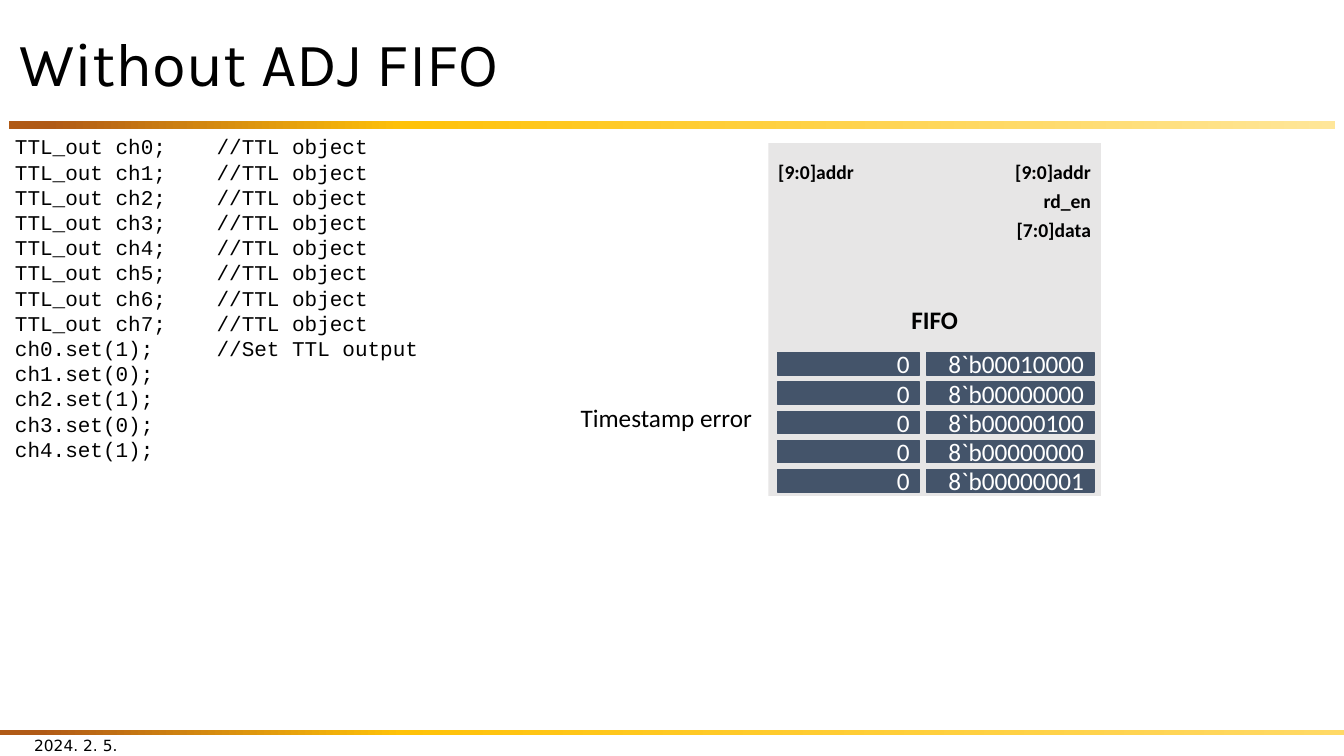
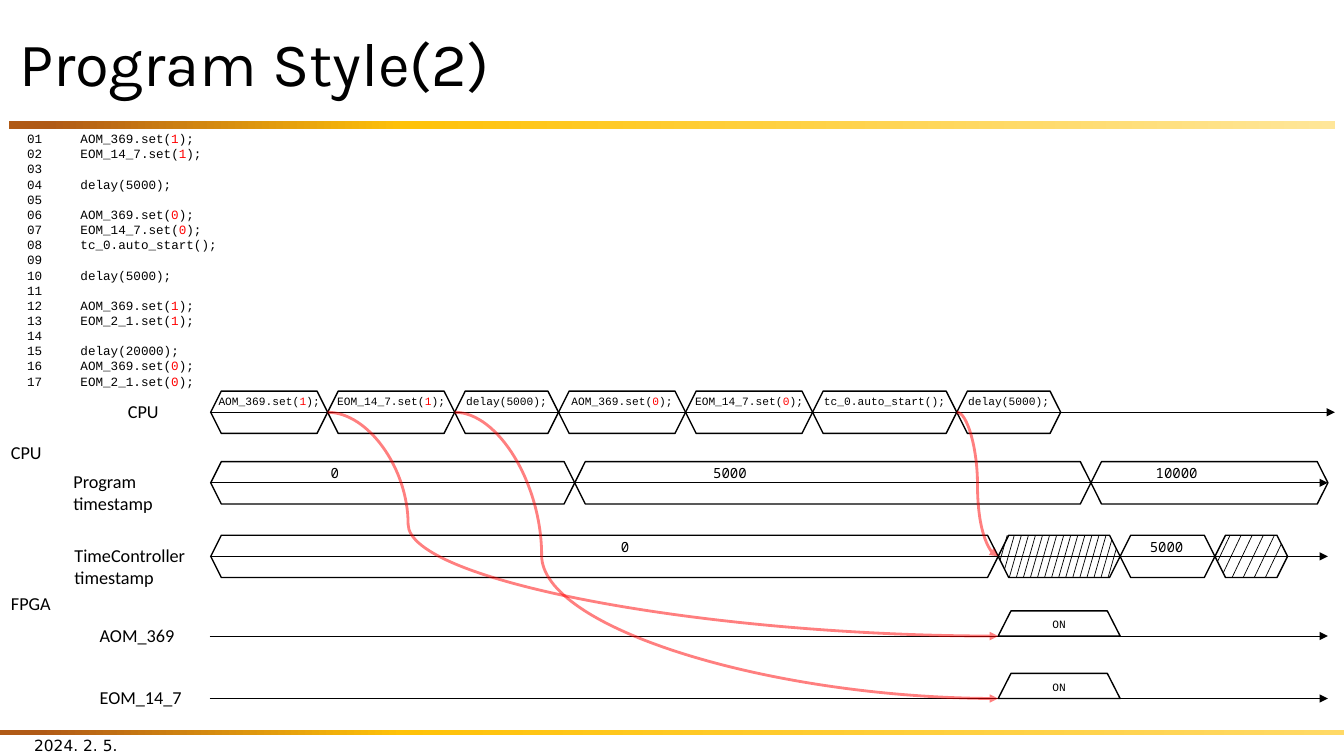
from pptx import Presentation
from pptx.dml.color import RGBColor
from pptx.enum.shapes import MSO_CONNECTOR, MSO_SHAPE
from pptx.enum.text import MSO_ANCHOR, MSO_AUTO_SIZE, PP_ALIGN
from pptx.oxml import parse_xml
from pptx.oxml.ns import nsdecls, qn
from pptx.util import Inches, Pt
from lxml import etree

RECT, HEXAGON, TRAPEZOID = MSO_SHAPE.RECTANGLE, MSO_SHAPE.HEXAGON, MSO_SHAPE.TRAPEZOID
STRAIGHT, CURVE = MSO_CONNECTOR.STRAIGHT, MSO_CONNECTOR.CURVE
LEFT, CENTER, RIGHT = PP_ALIGN.LEFT, PP_ALIGN.CENTER, PP_ALIGN.RIGHT
TOP, MIDDLE = MSO_ANCHOR.TOP, MSO_ANCHOR.MIDDLE
FIT = MSO_AUTO_SIZE.SHAPE_TO_FIT_TEXT

COLORS = {
    "ink": "000000", "white": "FFFFFF", "red": "FF0000", "panel": "E7E6E6",
    "cell": "44546A", "rust": "B05A16", "amber": "FFC208",
    "cream": "FFE699", "gold": "FFD966",
}
TITLE_FONT, BODY_FONT, CODE_FONT = "Karla", "Calibri", "Courier New"
DATE_FONT, VALUE_FONT = "DejaVu Sans", "Noto Sans Mono"

TTL_CODE = [f"TTL_out ch{i};\t//TTL object" for i in range(8)] + [
    "ch0.set(1);\t//Set TTL output", "ch1.set(0);", "ch2.set(1);",
    "ch3.set(0);", "ch4.set(1);"]
FIFO_DATA = ["8`b00010000", "8`b00000000", "8`b00000100", "8`b00000000", "8`b00000001"]
PROGRAM = [
    "AOM_369.set(|1|);", "EOM_14_7.set(|1|);", "", "delay(5000);", "",
    "AOM_369.set(|0|);", "EOM_14_7.set(|0|);", "tc_0.auto_start();", "",
    "delay(5000);", "", "AOM_369.set(|1|);", "EOM_2_1.set(|1|);", "",
    "delay(20000);", "AOM_369.set(|0|);", "EOM_2_1.set(|0|);"]
CPU_Y, PROGRAM_Y, CONTROLLER_Y, AOM_Y, EOM_Y = 4.09, 4.79, 5.52, 6.31, 6.93
AXIS_X, AXIS_END = 2.08, 13.17
CPU_EDGES = [2.09, 3.25, 4.51, 5.54, 6.8, 8.06, 9.49, 10.52]
PROGRAM_EDGES = [2.09, 5.7, 10.82, 13.17]
CONTROLLER_EDGES = [2.09, 9.9, 11.11, 12.05, 12.77]
BAND_H, BAND_SLANT = 0.42, 0.105
CALL_W, VALUE_W = 1.5, 0.7


def rgb(name):
    """Return the named colour."""
    return RGBColor.from_string(COLORS[name])


def put_text(sp, lines, font, size, color="ink", bold=False, align=LEFT, anchor=TOP,
             wrap=True, tab=None):
    """Fill a shape with lines, where text between bars is red."""
    tf = sp.text_frame
    tf.word_wrap = wrap
    tf.vertical_anchor = anchor
    for i, line in enumerate(lines):
        p = tf.add_paragraph() if i else tf.paragraphs[0]
        p.alignment = align
        if tab:
            tabs = etree.SubElement(p._p.get_or_add_pPr(), qn("a:tabLst"))
            etree.SubElement(tabs, qn("a:tab"), pos=str(Inches(tab)), algn="l")
        for j, part in enumerate(line.split("|")):
            r = p.add_run()
            r.text = part
            r.font.name, r.font.size, r.font.bold = font, Pt(size), bold
            r.font.color.rgb = rgb("red" if j % 2 else color)


def add_text(slide, box, lines, font, size, grow=False, **style):
    """Add a text box."""
    sp = slide.shapes.add_textbox(*map(Inches, box))
    put_text(sp, lines, font, size, **style)
    if grow:
        sp.text_frame.auto_size = FIT
    return sp


def add_box(slide, kind, box, fill=None, line=None):
    """Add a preset shape without shadow."""
    sp = slide.shapes.add_shape(kind, *map(Inches, box))
    sp.shadow.inherit = False
    if fill:
        sp.fill.solid()
        sp.fill.fore_color.rgb = rgb(fill)
    else:
        sp.fill.background()
    if line:
        sp.line.color.rgb = rgb(line)
        sp.line.width = Pt(1)
    else:
        sp.line.fill.background()
    return sp


def add_line(slide, start, end, color="ink", width=0.5, kind=STRAIGHT, arrow=False):
    """Add a connector, with an arrowhead at its end if asked."""
    cx = slide.shapes.add_connector(kind, *map(Inches, (*start, *end)))
    cx.line.color.rgb = rgb(color)
    cx.line.width = Pt(width)
    if arrow:
        etree.SubElement(cx.line._get_or_add_ln(), qn("a:tailEnd"), type="triangle")
    etree.SubElement(cx._element.spPr, qn("a:effectLst"))
    return cx


def add_gradient_band(slide, box, last):
    """Add a band running from rust through amber to the last colour."""
    sp = add_box(slide, RECT, box)
    stops = "".join(
        f'<a:gs pos="{pos * 1000}"><a:srgbClr val="{COLORS[name]}"/></a:gs>'
        for pos, name in ((3, "rust"), (30, "amber"), (100, last)))
    grad = parse_xml(f'<a:gradFill {nsdecls("a")} rotWithShape="1"><a:gsLst>{stops}'
                     '</a:gsLst><a:lin ang="0" scaled="0"/></a:gradFill>')
    spPr = sp._element.spPr
    spPr.replace(spPr.find(qn("a:noFill")), grad)


def add_base_slide(prs, title):
    """Add a slide with title, bands and date."""
    slide = prs.slides.add_slide(prs.slide_layouts[6])
    add_gradient_band(slide, (0.09, 1.2, 13.15, 0.08), "cream")
    add_gradient_band(slide, (0, 7.24, 13.33, 0.05), "gold")
    sp = add_text(slide, (0.09, 0.17, 13.15, 0.98), [title], TITLE_FONT, 44, anchor=MIDDLE)
    sp.text_frame.paragraphs[0].line_spacing = 0.9
    add_text(slide, (0.24, 7.19, 3, 0.4), ["2024. 2. 5."], DATE_FONT, 11, anchor=MIDDLE)
    return slide


def add_fifo(slide, x, y, w, h):
    """Draw the FIFO panel with its ports and stored entries."""
    panel = add_box(slide, RECT, (x, y, w, h), "panel")
    put_text(panel, ["FIFO"], BODY_FONT, 18, bold=True, align=CENTER, anchor=MIDDLE)
    port_w = 1.3
    right = x + w - port_w
    ports = [(x, 0, "[9:0]addr", LEFT), (right, 0, "[9:0]addr", RIGHT),
             (right, 1, "rd_en", RIGHT), (right, 2, "[7:0]data", RIGHT)]
    for left, row, name, align in ports:
        add_text(slide, (left, y + 0.17 + 0.29 * row, port_w, 0.22), [name], BODY_FONT, 14,
                 bold=True, align=align, anchor=MIDDLE)
    for row, data in enumerate(FIFO_DATA):
        for dx, cell_w, value in ((0.09, 1.41, "0"), (1.57, 1.66, data)):
            cell = add_box(slide, RECT, (x + dx, y + 2.08 + 0.29 * row, cell_w, 0.22),
                           "cell", "cell")
            put_text(cell, [value], BODY_FONT, 18, color="white", align=RIGHT, anchor=MIDDLE)


def add_axis(slide, y, label, label_x, label_w, end=AXIS_END):
    """Draw one time axis and its label."""
    add_line(slide, (AXIS_X, y), (end, y), arrow=True)
    add_text(slide, (label_x, y - 0.17, label_w, 0.32), label, BODY_FONT, 13, grow=True)


def add_bands(slide, y, edges):
    """Draw a chain of hexagons centred on an axis."""
    for left, right in zip(edges, edges[1:]):
        add_box(slide, HEXAGON, (left, y - BAND_H / 2, right - left, BAND_H), line="ink")


def add_hatch(slide, y, left, right, count, first, step, run):
    """Hatch a hexagon with slanted lines clipped to its sides."""
    top = y - BAND_H / 2
    spread = run + 2 * BAND_SLANT
    for k in range(count):
        x = left + first + step * k
        t0 = max(0, (x - right + BAND_SLANT) / spread)
        t1 = min(1, (x - left + BAND_SLANT) / spread)
        add_line(slide, (x - run * t0, top + BAND_H * t0),
                 (x - run * t1, top + BAND_H * t1))


def add_caption(slide, center, y, w, caption, font, size):
    """Write one centred line over an axis."""
    add_text(slide, (center - w / 2, y - 0.23, w, 0.25), [caption], font, size,
             align=CENTER, wrap=False)


def add_pulse(slide, x, y, w, h):
    """Draw an ON pulse standing on an axis."""
    sp = add_box(slide, TRAPEZOID, (x, y - h, w, h), line="ink")
    sp.adjustments[0] = 0.51
    put_text(sp, ["ON"], CODE_FONT, 8, align=CENTER, anchor=MIDDLE)


def add_curve(slide, start, end, bend):
    """Draw a half transparent red arrow that turns at the given share of its width."""
    cx = add_line(slide, start, end, "red", 2, CURVE, arrow=True)
    spPr = cx._element.spPr
    guides = spPr.find(qn("a:prstGeom")).get_or_add_avLst()
    etree.SubElement(guides, qn("a:gd"), name="adj1", fmla=f"val {round(bend * 100000)}")
    color = spPr.find(".//" + qn("a:srgbClr"))
    etree.SubElement(color, qn("a:alpha"), val="50000")


def add_timing(slide):
    """Draw the timing diagram."""
    add_axis(slide, CPU_Y, ["CPU"], 1.17, 0.82, 13.24)
    add_axis(slide, PROGRAM_Y, ["Program", "timestamp"], 0.63, 1.63)
    add_axis(slide, CONTROLLER_Y, ["TimeController", "timestamp"], 0.64, 1.41)
    add_axis(slide, AOM_Y, ["AOM_369"], 0.89, 1.09)
    add_axis(slide, EOM_Y, ["EOM_14_7"], 0.89, 1.09)
    for y, name in ((4.33, "CPU"), (5.83, "FPGA")):
        add_text(slide, (0.01, y, 0.82, 0.32), [name], BODY_FONT, 13, grow=True)

    add_bands(slide, CPU_Y, CPU_EDGES)
    add_bands(slide, PROGRAM_Y, PROGRAM_EDGES)
    add_bands(slide, CONTROLLER_Y, CONTROLLER_EDGES)
    calls = [line for line in PROGRAM if line]
    for left, right, call in zip(CPU_EDGES, CPU_EDGES[1:], calls):
        add_caption(slide, (left + right) / 2, CPU_Y, CALL_W, call, CODE_FONT, 8)
    for center, y, value in (
            (3.32, PROGRAM_Y, "0"), (7.24, PROGRAM_Y, "5000"), (11.67, PROGRAM_Y, "10000"),
            (6.2, CONTROLLER_Y, "0"), (11.57, CONTROLLER_Y, "5000")):
        add_caption(slide, center, y, VALUE_W, value, VALUE_FONT, 10)
    add_hatch(slide, CONTROLLER_Y, *CONTROLLER_EDGES[1:3], 17, 0.09, 0.07, 0.12)
    add_hatch(slide, CONTROLLER_Y, *CONTROLLER_EDGES[3:5], 6, 0.15, 0.11, 0.2)

    pulse_x, pulse_end = CONTROLLER_EDGES[1:3]
    for y in (AOM_Y, EOM_Y):
        add_pulse(slide, pulse_x, y, pulse_end - pulse_x, 0.25)
    for edge, y, bend in ((6, CONTROLLER_Y, 0.5), (1, AOM_Y, 0.125), (2, EOM_Y, 0.163)):
        add_curve(slide, (CPU_EDGES[edge], CPU_Y), (pulse_x, y), round(bend, 2))


def build_fifo_slide(prs):
    """Build the slide on running without the FIFO adjustment."""
    slide = add_base_slide(prs, "Without ADJ FIFO")
    add_fifo(slide, 7.62, 1.42, 3.3, 3.5)
    add_text(slide, (0.05, 1.28, 4.24, 3.38), TTL_CODE, CODE_FONT, 15, grow=True,
             wrap=False, tab=2)
    add_text(slide, (5.66, 3.94, 1.92, 0.4), ["Timestamp error"], BODY_FONT, 18,
             grow=True, wrap=False)


def build_program_slide(prs):
    """Build the slide with the program and its timing."""
    slide = add_base_slide(prs, "Program Style(2)")
    add_timing(slide)
    listing = [f"{i:02}\t{line}" if line else f"{i:02}" for i, line in enumerate(PROGRAM, 1)]
    add_text(slide, (0.17, 1.25, 3.1, 2.68), listing, CODE_FONT, 9, grow=True, tab=0.53)


def main():
    """Build and save the presentation."""
    prs = Presentation()
    prs.slide_width, prs.slide_height = Inches(13.33), Inches(7.5)
    build_fifo_slide(prs)
    build_program_slide(prs)
    prs.save("out.pptx")


if __name__ == "__main__":
    main()
